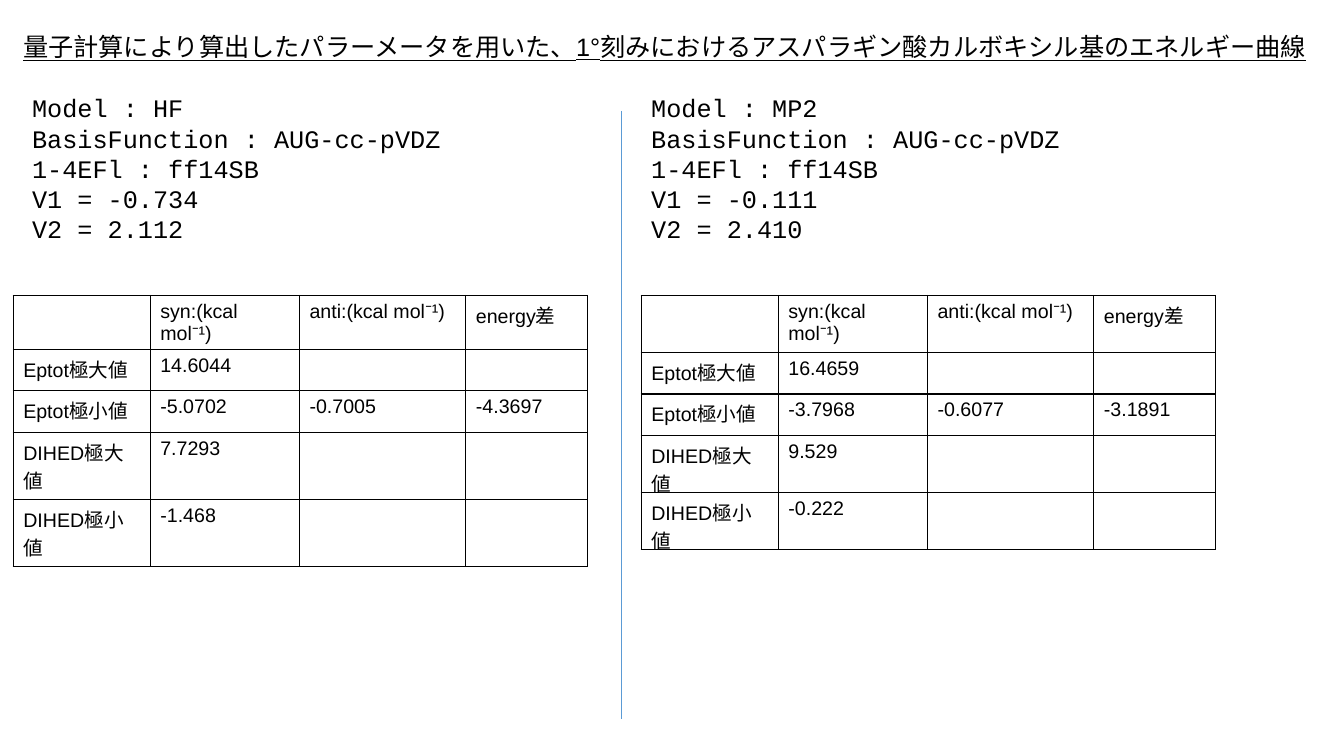
from lxml import etree
from pptx import Presentation
from pptx.dml.color import RGBColor
from pptx.enum.shapes import MSO_CONNECTOR
from pptx.enum.text import MSO_AUTO_SIZE
from pptx.oxml.ns import qn
from pptx.util import Inches, Pt

STRAIGHT = MSO_CONNECTOR.STRAIGHT
GROW = MSO_AUTO_SIZE.SHAPE_TO_FIT_TEXT

WIDTH, HEIGHT = Inches(13.33), Inches(7.5)
COLORS = {"text": "000000", "border": "000000", "divider": "5B9BD5"}
COLUMN_SHARES = (10.2, 11.1, 12.38, 9.08)
ROW_SHARE = 5.47

TITLE = ("量子計算により算出したパラーメータを用いた、"
         "1°刻みにおけるアスパラギン酸カルボキシル基のエネルギー曲線")
HEADERS = ("", "syn:(kcal mol⁻¹)", "anti:(kcal mol⁻¹)", "energy差")
ROW_LABELS = ("Eptot極大値", "Eptot極小値", "DIHED極大値", "DIHED極小値")

# One entry per half of the slide; left edges and widths are % of slide width
MODELS = (
    {"name": "HF", "v1": "-0.734", "v2": "2.112",
     "text_left": 1.65, "text_width": 33.83, "table_left": 0.98,
     "values": (("14.6044", "", ""), ("-5.0702", "-0.7005", "-4.3697"),
                ("7.7293", "", ""), ("-1.468", "", ""))},
    {"name": "MP2", "v1": "-0.111", "v2": "2.410",
     "text_left": 47.71, "text_width": 50.04, "table_left": 47.71,
     "values": (("16.4659", "", ""), ("-3.7968", "-0.6077", "-3.1891"),
                ("9.529", "", ""), ("-0.222", "", ""))},
)


def across(percent):
    return round(WIDTH * percent / 100)


def down(percent):
    return round(HEIGHT * percent / 100)


def write(tf, lines, font="Arial", size=18, color="text", underline=None):
    for i, line in enumerate(lines):
        p = tf.paragraphs[0] if i == 0 else tf.add_paragraph()
        p.font.size = Pt(size)
        if line:
            r = p.add_run()
            r.text = line
            r.font.name = font
            r.font.size = Pt(size)
            r.font.underline = underline
            r.font.color.rgb = RGBColor.from_string(COLORS[color])


def add_text(s, left, top, width, height, lines, **fmt):
    sp = s.shapes.add_textbox(across(left), down(top), across(width), down(height))
    tf = sp.text_frame
    tf.word_wrap = True
    tf.auto_size = GROW
    write(tf, lines, **fmt)


def add_borders(cell, color):
    tcPr = cell._tc.get_or_add_tcPr()
    for side in ("a:lnL", "a:lnR", "a:lnT", "a:lnB"):
        ln = etree.SubElement(tcPr, qn(side), w=str(Pt(1)))
        fill = etree.SubElement(ln, qn("a:solidFill"))
        etree.SubElement(fill, qn("a:srgbClr"), val=COLORS[color])


def add_energy_table(s, left, top, values):
    rows = [HEADERS] + [(label, *row) for label, row in zip(ROW_LABELS, values)]
    table = s.shapes.add_table(
        len(rows), len(HEADERS), across(left), down(top),
        across(sum(COLUMN_SHARES)), down(ROW_SHARE * len(rows))).table
    table.first_row = table.horz_banding = False
    for column, share in zip(table.columns, COLUMN_SHARES):
        column.width = across(share)
    for i, row in enumerate(rows):
        table.rows[i].height = down(ROW_SHARE)
        for j, text in enumerate(row):
            cell = table.cell(i, j)
            add_borders(cell, "border")
            cell.fill.background()
            write(cell.text_frame, [text], size=14)


def add_divider(s, x, top, bottom):
    line = s.shapes.add_connector(STRAIGHT, across(x), down(top), across(x), down(bottom))
    line.line.color.rgb = RGBColor.from_string(COLORS["divider"])
    line.line.width = Pt(0.5)
    etree.SubElement(line._element.spPr, qn("a:effectLst"))


def main():
    prs = Presentation()
    prs.slide_width, prs.slide_height = WIDTH, HEIGHT
    s = prs.slides.add_slide(prs.slide_layouts[6])

    # Line between the two models
    add_divider(s, 46.21, 14.67, 95.07)

    # Parameters and energies of each model
    for model in MODELS:
        add_energy_table(s, model["table_left"], 39.07, model["values"])
        parameters = (f"Model : {model['name']}", "BasisFunction : AUG-cc-pVDZ",
                      "1-4EFl : ff14SB", f"V1 = {model['v1']}", f"V2 = {model['v2']}")
        add_text(s, model["text_left"], 11.6, model["text_width"], 21.6,
                 parameters, font="Courier New")

    # Title
    add_text(s, 0.98, 3.47, 99.62, 5.33, [TITLE], underline=True)

    prs.save("out.pptx")


if __name__ == "__main__":
    main()
